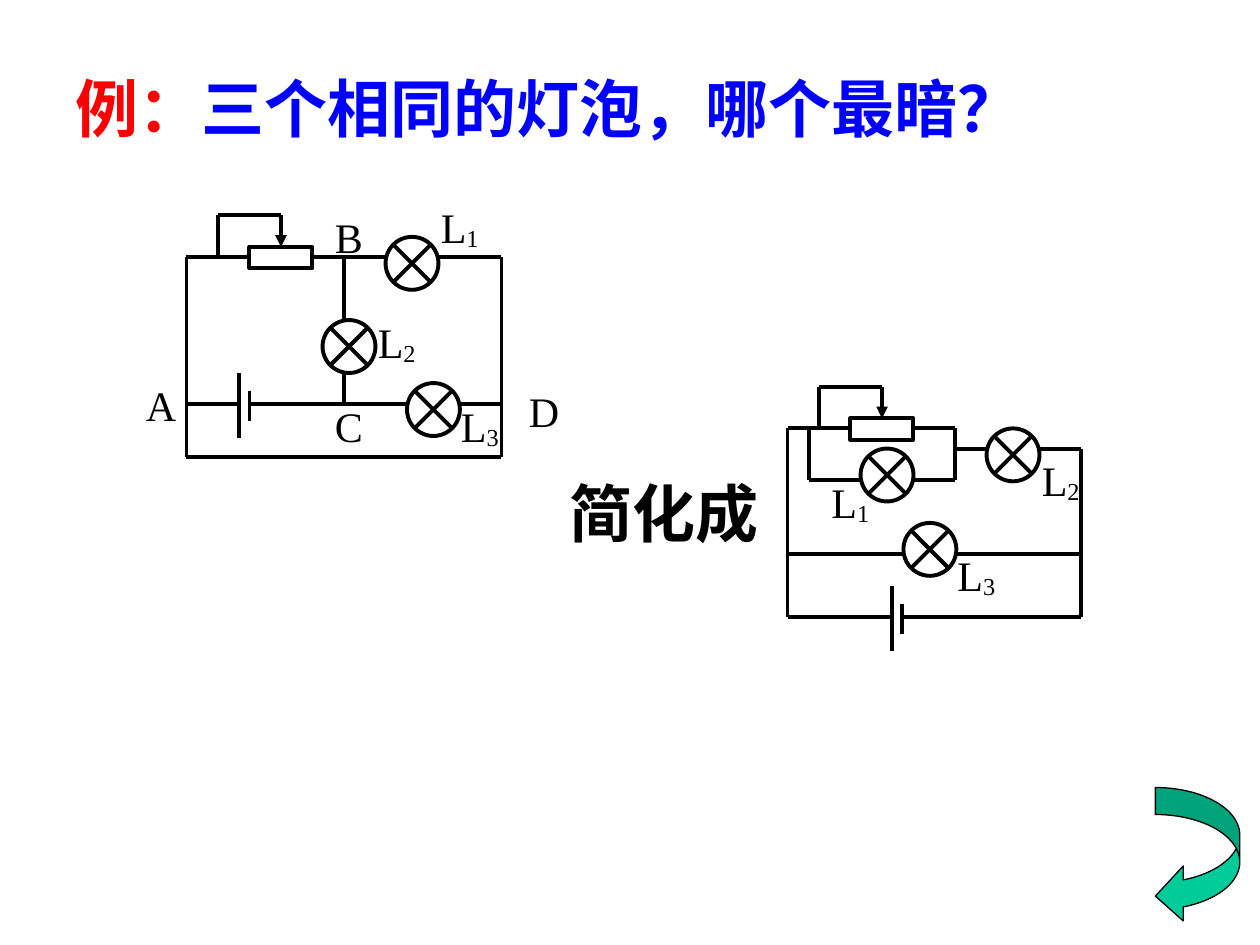
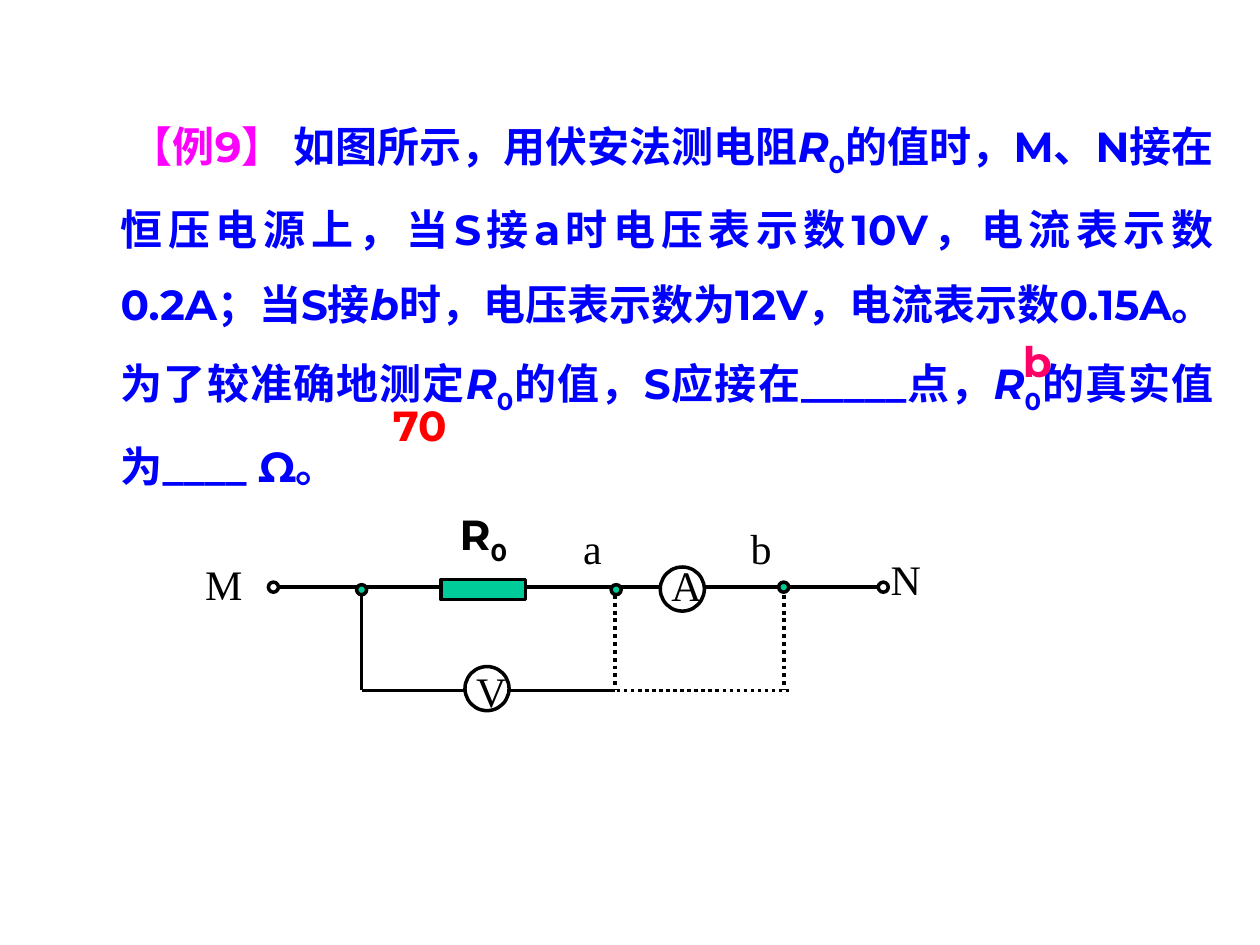
from dataclasses import dataclass
from itertools import pairwise

from lxml.etree import SubElement
from pptx import Presentation
from pptx.dml.color import RGBColor
from pptx.enum.dml import MSO_LINE
from pptx.enum.lang import MSO_LANGUAGE_ID
from pptx.enum.shapes import MSO_CONNECTOR, MSO_SHAPE
from pptx.enum.text import MSO_ANCHOR, MSO_AUTO_SIZE, PP_ALIGN
from pptx.oxml.ns import qn
from pptx.util import Inches, Pt

COLORS = {
    "ink": "000000", "paper": "FFFFFF", "question": "0000FF", "heading": "FF0000",
    "tag": "FF00FF", "answer": "FF0066", "accent": "00CC99",
}
SERIF, SANS = "Times New Roman", "Montserrat"
TITLE_ONLY, BLANK = 5, 6
BULB, METER, DOT = 0.42, 0.35, 0.08


@dataclass(frozen=True)
class Piece:
    text: str
    color: str = "ink"
    italic: bool = False
    baseline: int = 0


@dataclass(frozen=True)
class Style:
    size: float = 24
    font: str = SERIF
    bold: bool = False


@dataclass(frozen=True)
class Label:
    text: str
    x: float
    y: float
    width: float = 0.71
    subscript: str = ""


@dataclass(frozen=True)
class Wire:
    points: tuple
    arrow: bool = False
    dash: object = None


@dataclass(frozen=True)
class Circuit:
    resistor: tuple  # left end, on the wire
    battery: tuple  # centre of the long plate
    bulbs: tuple  # top left corners
    wires: tuple
    labels: tuple


def rgb(name: str) -> RGBColor:
    return RGBColor.from_string(COLORS[name])


# Text
def write(frame, pieces, style: Style) -> None:
    frame.word_wrap = True
    frame.auto_size = MSO_AUTO_SIZE.NONE
    frame.vertical_anchor = MSO_ANCHOR.TOP
    paragraph = frame.paragraphs[0]
    paragraph.alignment = PP_ALIGN.LEFT
    for piece in pieces:
        run = paragraph.add_run()
        run.text = piece.text
        run.font.size = Pt(style.size)
        run.font.name = style.font
        run.font.bold = style.bold
        run.font.italic = piece.italic
        run.font.language_id = MSO_LANGUAGE_ID.SIMPLIFIED_CHINESE
        run.font.color.rgb = rgb(piece.color)
        if piece.baseline:
            run.font._element.set("baseline", str(piece.baseline * 1000))


def text_box(shapes, x, y, width, height, pieces, style=Style()):
    frame = shapes.add_textbox(*map(Inches, (x, y, width, height))).text_frame
    write(frame, pieces, style)
    return frame.paragraphs[0]


def draw_label(shapes, label: Label) -> None:
    pieces = [Piece(label.text)]
    if label.subscript:
        pieces.append(Piece(label.subscript, baseline=-10))
    text_box(shapes, label.x, label.y, label.width, 0.5, pieces)


# Circuit parts
def draw_shape(shapes, kind, x, y, width, height, fill="paper", weight=2.25):
    shape = shapes.add_shape(kind, *map(Inches, (x, y, width, height)))
    shape.shadow.inherit = False
    shape.fill.solid()
    shape.fill.fore_color.rgb = rgb(fill)
    shape.line.color.rgb = rgb("ink")
    shape.line.width = Pt(weight)
    return shape


def draw_wire(shapes, wire: Wire, weight: float = 2.25) -> None:
    for start, end in pairwise(wire.points):
        segment = shapes.add_connector(
            MSO_CONNECTOR.STRAIGHT, *map(Inches, (*start, *end)))
        segment.line.color.rgb = rgb("ink")
        segment.line.width = Pt(weight)
        if wire.dash:
            segment.line.dash_style = wire.dash
        properties = segment._element.spPr
        if wire.arrow and end == wire.points[-1]:
            SubElement(properties.find(qn("a:ln")), qn("a:tailEnd"), type="triangle")
        SubElement(properties, qn("a:effectLst"))


def draw_bulb(shapes, x: float, y: float) -> None:
    draw_shape(shapes, MSO_SHAPE.OVAL, x, y, BULB, BULB)
    near, far = 0.07, BULB - 0.07
    draw_wire(shapes, Wire(((x + near, y + near), (x + far, y + far))))
    draw_wire(shapes, Wire(((x + far, y + near), (x + near, y + far))))


def draw_rheostat(shapes, x: float, y: float) -> None:
    draw_shape(shapes, MSO_SHAPE.RECTANGLE, x, y - 0.08, 0.5, 0.17)
    top = y - 0.33
    draw_wire(shapes, Wire(((x - 0.25, y), (x - 0.25, top), (x + 0.25, top),
                            (x + 0.25, y - 0.08)), arrow=True))


def draw_battery(shapes, x: float, y: float) -> None:
    for plate, half in ((x, 0.26), (x + 0.08, 0.12)):
        draw_wire(shapes, Wire(((plate, y - half), (plate, y + half))))


def draw_circuit(slide, circuit: Circuit) -> None:
    shapes = slide.shapes.add_group_shape().shapes
    for wire in circuit.wires:
        draw_wire(shapes, wire)
    draw_rheostat(shapes, *circuit.resistor)
    draw_battery(shapes, *circuit.battery)
    for bulb in circuit.bulbs:
        draw_bulb(shapes, *bulb)
    for label in circuit.labels:
        draw_label(shapes, label)


GIVEN = Circuit(
    resistor=(1.98, 2.04),
    battery=(1.9, 3.22),
    bulbs=((3.06, 1.88), (2.56, 2.54), (3.23, 3.04)),
    wires=(
        Wire(((1.98, 2.04), (1.48, 2.04), (1.48, 3.63), (3.98, 3.63),
              (3.98, 2.04), (3.48, 2.04))),
        Wire(((2.48, 2.04), (3.06, 2.04))),
        Wire(((2.73, 2.04), (2.73, 2.54))),
        Wire(((2.73, 2.96), (2.73, 3.21))),
        Wire(((1.48, 3.21), (1.9, 3.21))),
        Wire(((1.98, 3.21), (3.23, 3.21))),
        Wire(((3.65, 3.21), (3.98, 3.21))),
    ),
    labels=(
        Label("L", 3.4, 1.55, 0.58, "1"), Label("L", 2.9, 2.46, 0.58, "2"),
        Label("L", 3.56, 3.13, 0.58, "3"), Label("A", 1.06, 2.96, 0.5),
        Label("B", 2.56, 1.63, 0.67), Label("C", 2.56, 3.13, 0.58),
        Label("D", 4.1, 3.01, 0.5),
    ),
)

SIMPLIFIED = Circuit(
    resistor=(6.75, 3.4),
    battery=(7.08, 4.91),
    bulbs=((6.83, 3.56), (7.83, 3.4), (7.17, 4.15)),
    wires=(
        Wire(((6.75, 3.4), (6.25, 3.4), (6.25, 4.9), (7.08, 4.9))),
        Wire(((7.25, 3.4), (7.58, 3.4), (7.58, 3.81), (7.25, 3.81))),
        Wire(((6.42, 3.4), (6.42, 3.81), (6.83, 3.81))),
        Wire(((7.58, 3.56), (7.83, 3.56))),
        Wire(((8.25, 3.56), (8.58, 3.56), (8.58, 4.9), (7.17, 4.9))),
        Wire(((6.25, 4.4), (7.17, 4.4))),
        Wire(((7.58, 4.4), (8.58, 4.4))),
    ),
    labels=(
        Label("L", 6.5, 3.73, 0.58, "1"), Label("L", 8.17, 3.56, 0.58, "2"),
        Label("L", 7.5, 4.31, 0.58, "3"),
    ),
)


def build_bulb_slide(deck) -> None:
    slide = deck.slides.add_slide(deck.slide_layouts[TITLE_ONLY])
    heading = Style(36, bold=True)

    title = slide.shapes.title
    title.left, title.top = Inches(0.5), Inches(0.5)
    title.width, title.height = Inches(9), Inches(0.7)
    write(title.text_frame, (Piece("例：", "heading"),
                             Piece("三个相同的灯泡，哪个最暗？", "question")), heading)

    draw_circuit(slide, SIMPLIFIED)
    text_box(slide.shapes, 4.42, 3.72, 1.75, 0.7, [Piece("简化成")], heading)
    draw_circuit(slide, GIVEN)

    # Return arrow
    back = draw_shape(slide.shapes, MSO_SHAPE.CURVED_LEFT_ARROW,
                      9.17, 6.25, 0.67, 1.08, "accent", 0.75)
    for index, value in enumerate((0.32, 0.65, 0.33)):
        back.adjustments[index] = value


def build_resistance_slide(deck) -> None:
    slide = deck.slides.add_slide(deck.slide_layouts[BLANK])
    shapes = slide.shapes
    bold = Style(font=SANS, bold=True)

    # Question and answers
    def plain(text: str) -> Piece:
        return Piece(text, "question")

    def symbol(text: str) -> Piece:
        return Piece(text, "question", italic=True)

    r_zero = (symbol("R"), Piece("0", "question", baseline=-25))
    question = text_box(shapes, 0.86, 0.68, 8.87, 3.27, (
        Piece("【例9】 ", "tag"),
        plain("如图所示，用伏安法测电阻"), *r_zero,
        plain("的值时，M、N接在恒压电源上，当S接a时电压表示数10V，电流表示数0.2A；当S接"),
        symbol("b"),
        plain("时，电压表示数为12V，电流表示数0.15A。为了较准确地测定"), *r_zero,
        plain("的值，S应接在"), plain("_____"), plain("点，"), *r_zero,
        plain("的真实值为"), plain("____"), plain(" Ω。"),
    ), bold)
    question.alignment = PP_ALIGN.JUSTIFY
    question.line_spacing = 1.5
    question._p.get_or_add_pPr().set("indent", str(Inches(0.08)))
    text_box(shapes, 8.02, 2.61, 0.82, 0.5, [Piece("b", "answer")], bold)
    text_box(shapes, 3.02, 3.12, 1.06, 0.5, [Piece("70", "heading")], bold)

    # Wires, with the two possible positions of the switch dotted
    main, lower = 4.66, 5.48
    left, point_a, point_b = 2.87, 4.88, 6.22
    draw_wire(shapes, Wire(((2.17, main), (7.01, main))), 2)
    draw_wire(shapes, Wire(((left, main), (left, lower), (point_a, lower))), 2)
    for x in (point_a, point_b):
        draw_wire(shapes, Wire(((x, main), (x, lower)), dash=MSO_LINE.ROUND_DOT))
    draw_wire(shapes, Wire(((4.84, lower), (6.26, lower)), dash=MSO_LINE.ROUND_DOT), 2)

    # Resistor, meters and terminals
    draw_shape(shapes, MSO_SHAPE.RECTANGLE, 3.5, 4.6, 0.67, 0.16, "accent", 2)
    text_box(shapes, 3.55, 3.99, 0.7, 0.56, (Piece("R"), Piece("0", baseline=-25)), bold)
    for meter, x, y, label_y in (("A", 5.24, 4.5, 4.39), ("V", 3.69, 5.29, 5.23)):
        draw_shape(shapes, MSO_SHAPE.OVAL, x, y, METER, METER, weight=2)
        draw_label(shapes, Label(meter, x - 0.01, label_y))
    for x, y, fill in ((2.13, 4.62, "paper"), (6.97, 4.62, "paper"),
                       (2.83, 4.64, "accent"), (4.85, 4.64, "accent"),
                       (6.18, 4.62, "accent")):
        draw_shape(shapes, MSO_SHAPE.OVAL, x, y, DOT, DOT, fill, 2)
    for label in (Label("M", 1.53, 4.38), Label("N", 6.97, 4.34),
                  Label("a", 4.53, 4.1), Label("b", 5.86, 4.1)):
        draw_label(shapes, label)


def main() -> None:
    deck = Presentation()
    deck.slide_width, deck.slide_height = Inches(10), Inches(7.5)
    build_bulb_slide(deck)
    build_resistance_slide(deck)
    deck.save("out.pptx")


if __name__ == "__main__":
    main()
